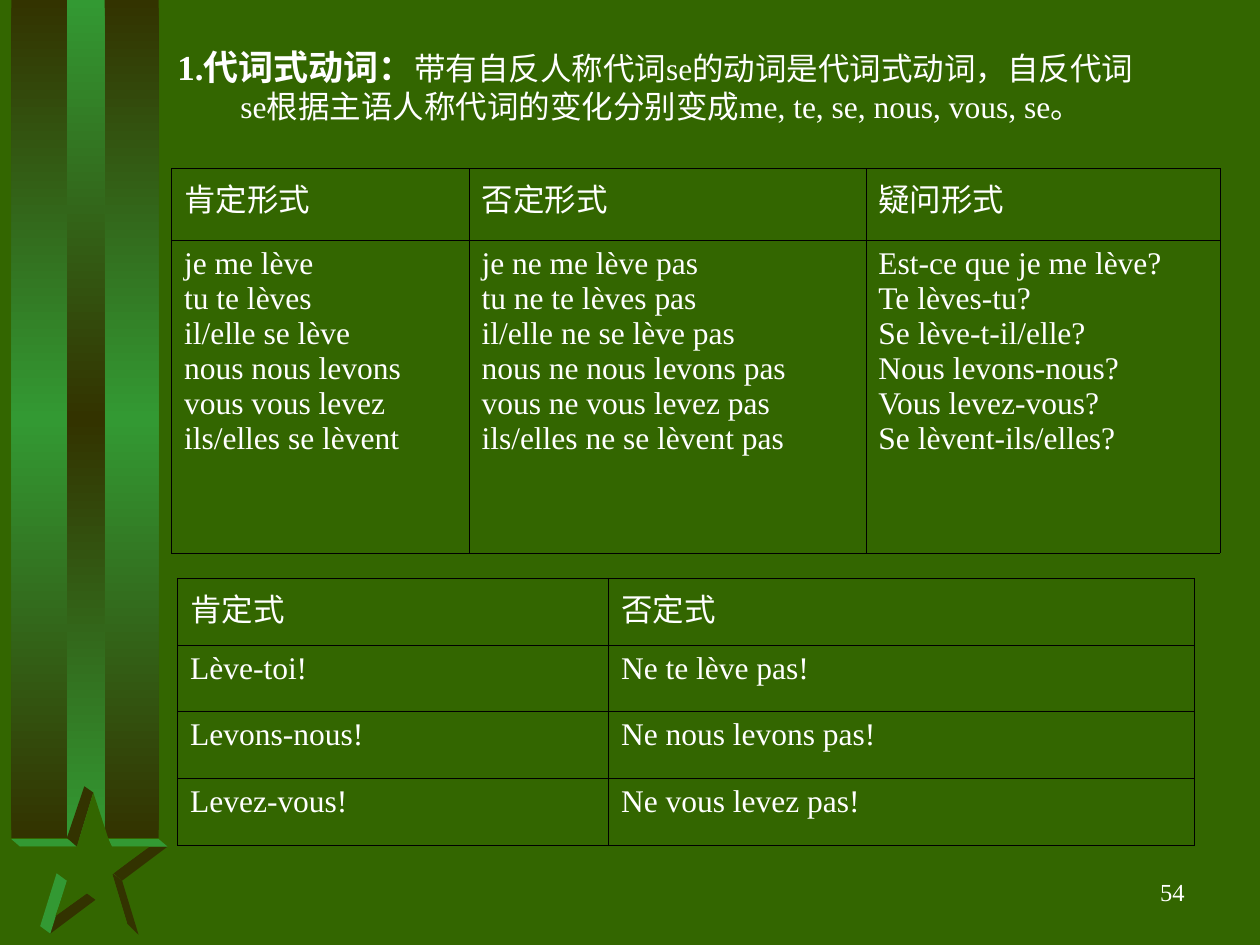
from copy import deepcopy
from dataclasses import dataclass

from lxml import etree
from pptx import Presentation
from pptx import util as u
from pptx.dml.color import RGBColor as RGB
from pptx.enum import shapes, text
from pptx.oxml.ns import qn

Pt = u.Pt


@dataclass(frozen=True)
class Theme:
    back: RGB = RGB(0x33, 0x66, 0x00)
    dark: RGB = RGB(0x33, 0x33, 0x00)
    green: RGB = RGB(0x33, 0x99, 0x33)
    white: RGB = RGB(0xFF, 0xFF, 0xFF)
    rule: str = "000000"
    face: str = "Times New Roman"
    head: float = 20
    body: float = 18
    page: float = 14


T = Theme()

FACETS = [
    (T.dark, [(64.8, 499), (69.8, 503.3), (95.8, 483.8), (85.7, 483.8)]),
    (T.green, [(6.5, 479.5), (11.5, 483.8), (44.6, 483.8), (38.9, 479.5)]),
    (T.dark, [(43.9, 483.8), (53.3, 452.9), (48.2, 449.3), (38.2, 478.8)]),
    (T.green, [(64.1, 483.8), (61.9, 479.5), (90.7, 479.5), (95.8, 483.8)]),
    (T.dark, [(23.8, 529.2), (28.8, 533.5), (54.7, 514.1), (49.7, 510.5)]),
    (T.dark, [(72.7, 527.8), (79.2, 534.2), (69.8, 503.3), (64.1, 499)]),
    (T.green, [(28.8, 533.5), (38.2, 503.3), (32.4, 499), (23, 529.2)]),
    (T.back, [(53.3, 452.9), (43.9, 483.8), (11.5, 483.8), (38.9, 503.3),
              (31.7, 523.4), (49.7, 510.5), (72.7, 527.8), (64.1, 499.7),
              (85, 483.8), (63.4, 483.8)]),
]

VERBS = [
    ["肯定形式", "否定形式", "疑问形式"],
    ["je me lève\ntu te lèves\nil/elle se lève\nnous nous levons\n"
     "vous vous levez\nils/elles se lèvent",
     "je ne me lève pas\ntu ne te lèves pas\nil/elle ne se lève pas\n"
     "nous ne nous levons pas\nvous ne vous levez pas\n"
     "ils/elles ne se lèvent pas",
     "Est-ce que je me lève?\nTe lèves-tu?\nSe lève-t-il/elle?\n"
     "Nous levons-nous?\nVous levez-vous?\nSe lèvent-ils/elles?"],
]

ORDERS = [
    ["肯定式", "否定式"],
    ["Lève-toi!", "Ne te lève pas!"],
    ["Levons-nous!", "Ne nous levons pas!"],
    ["Levez-vous!", "Ne vous levez pas!"],
]

TITLE = [
    ("1.代词式动词：", T.head, True),
    ("带有自反人称代词se的动词是代词式动词，自反代词se根据主语人称代词的变化"
     "分别变成me, te, se, nous, vous, se。", T.body, False),
]


def style(font, size, bold=False):
    look = {"name": T.face, "size": Pt(size), "bold": bold}
    for key, val in look.items():
        setattr(font, key, val)
    font.color.rgb = T.white


def stripe(slide, left, wide, edge, mid):
    bar = slide.shapes.add_shape(
        shapes.MSO_SHAPE.RECTANGLE, Pt(left), 0, Pt(wide), Pt(478.8))
    bar.shadow.inherit = False
    bar.line.fill.background()
    bar.fill.gradient()
    bar.fill.gradient_angle = 270
    stops = bar._element.spPr.find(qn("a:gradFill")).find(qn("a:gsLst"))
    stops.insert(1, deepcopy(stops[0]))
    for stop, pos, tint in zip(bar.fill.gradient_stops, (0, 0.5, 1),
                               (edge, mid, edge)):
        stop.position = pos
        stop.color.rgb = tint


def facet(slide, tint, dots):
    first, *rest = [(Pt(x), Pt(y)) for x, y in dots]
    pen = slide.shapes.build_freeform(*first)
    pen.add_line_segments(rest, close=True)
    form = pen.convert_to_shape()
    form.shadow.inherit = False
    form.fill.solid()
    form.fill.fore_color.rgb = tint
    form.line.fill.background()


def border(cell):
    props = cell._tc.get_or_add_tcPr()
    for spot, side in enumerate(("lnL", "lnR", "lnT", "lnB")):
        line = etree.Element(qn("a:" + side), w=str(Pt(0.45)))
        fill = etree.SubElement(line, qn("a:solidFill"))
        etree.SubElement(fill, qn("a:srgbClr"), val=T.rule)
        props.insert(spot, line)


def table(slide, left, top, cols, rows, data):
    grid = slide.shapes.add_table(
        len(rows), len(cols), Pt(left), Pt(top),
        Pt(sum(cols)), Pt(sum(rows))).table
    for key in ("first_row", "horz_banding"):
        setattr(grid, key, False)
    for col, wide in zip(grid.columns, cols):
        col.width = Pt(wide)
    for row, high, words in zip(grid.rows, rows, data):
        row.height = Pt(high)
        for cell, word in zip(row.cells, words):
            cell.text = word
            cell.fill.background()
            border(cell)
            for para in cell.text_frame.paragraphs:
                style(para.font, T.body)
                for run in para.runs:
                    style(run.font, T.body)


def label(slide, area, parts, frame):
    box = slide.shapes.add_textbox(*map(Pt, area)).text_frame
    for key, val in frame.items():
        setattr(box, key, val)
    para = box.paragraphs[0]
    for word, size, bold in parts:
        run = para.add_run()
        run.text = word
        style(run.font, size, bold)
    return para


def main():
    deck = Presentation()
    deck.slide_width, deck.slide_height = Pt(720), Pt(540)
    slide = deck.slides.add_slide(deck.slide_layouts[6])
    slide.background.fill.solid()
    slide.background.fill.fore_color.rgb = T.back

    stripe(slide, 6.5, 84.2, T.dark, T.green)
    stripe(slide, 38.2, 21.6, T.green, T.dark)
    for tint, dots in FACETS:
        facet(slide, tint, dots)

    table(slide, 98, 96.3, [170, 226.8, 202.3], [41, 178.8], VERBS)
    head = label(slide, (94.3, 22.3, 566.6, 53.3), TITLE, {
        "word_wrap": True, "auto_size": text.MSO_AUTO_SIZE.SHAPE_TO_FIT_TEXT})
    for key, val in {"marL": Pt(36), "indent": Pt(-36)}.items():
        head._p.get_or_add_pPr().set(key, str(val))
    table(slide, 101.5, 330.4, [246.2, 334.8], [38.1] * 4, ORDERS)
    page = label(slide, (534.2, 491.8, 149.8, 36), [("54", T.page, False)], {
        "word_wrap": True, "vertical_anchor": text.MSO_ANCHOR.MIDDLE})
    page.alignment = text.PP_ALIGN.RIGHT
    deck.save("out.pptx")


if __name__ == "__main__":
    main()
